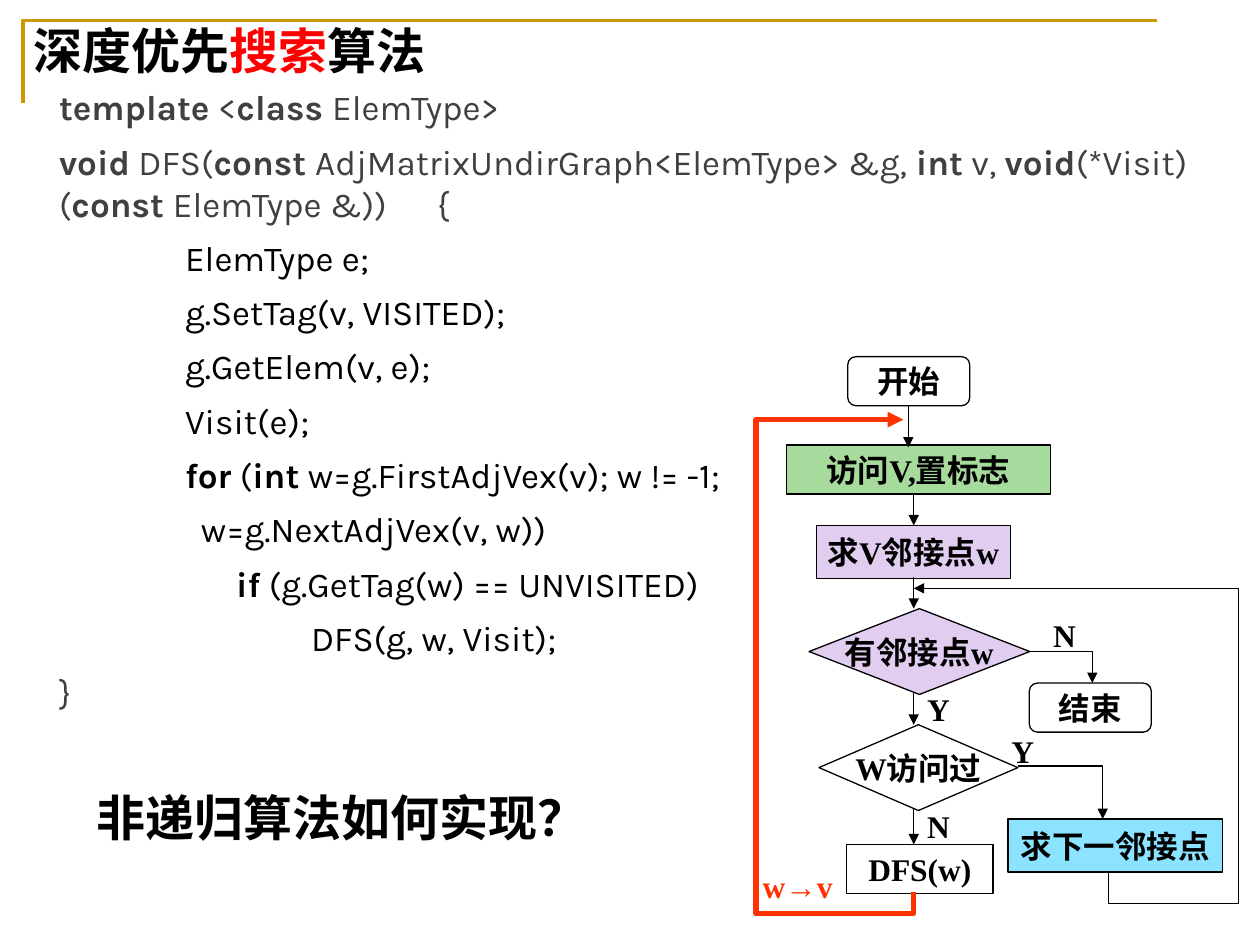
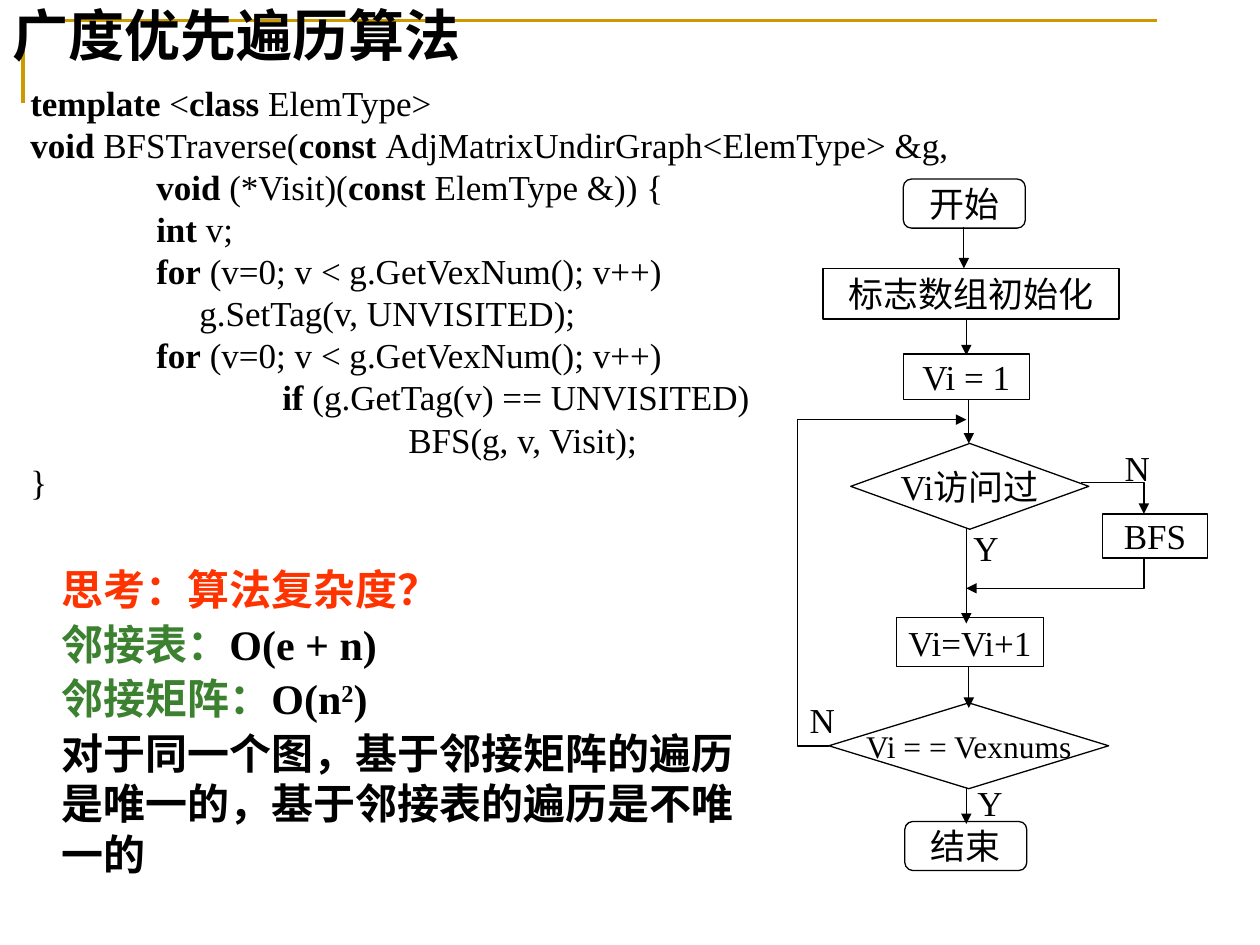
from lxml import etree
from pptx import Presentation
from pptx import util as u
from pptx.dml.color import RGBColor
from pptx.enum import shapes, text
from pptx.oxml.ns import qn

Cm, Pt = u.Cm, u.Pt
HUES = {
    "ink": "000000", "gray": "404040", "gold": "CC9900", "red": "FF0000",
    "flame": "FF3300", "leaf": "3B812F", "mint": "A6DB9D",
    "lilac": "E1CDF0", "sky": "8BE3FF",
}
RGB = {name: RGBColor.from_string(code) for name, code in HUES.items()}
HAN, ROMAN, CODE = "Noto Sans CJK JP", "Times New Roman", "Karla"
LEFT, MID = text.PP_ALIGN.LEFT, text.PP_ALIGN.CENTER
TOP, CORE = text.MSO_ANCHOR.TOP, text.MSO_ANCHOR.MIDDLE
KIND = shapes.MSO_SHAPE
ROUND, BOX, GEM = (KIND.FLOWCHART_ALTERNATE_PROCESS, KIND.FLOWCHART_PROCESS,
                   KIND.FLOWCHART_DECISION)


def put(shape, lines, size=20, font=ROMAN, bold=False, hue="ink", alt=None,
        align=LEFT, anchor=TOP, wrap=True, line=None, before=0, after=0):
    """Write (indent, text) lines; ^ switches to the alt colour, or to bold."""
    frame = shape.text_frame
    frame.auto_size = text.MSO_AUTO_SIZE.NONE
    frame.word_wrap, frame.vertical_anchor = wrap, anchor
    frame.margin_left = frame.margin_right = Cm(0.25)
    frame.margin_top = frame.margin_bottom = 0
    if isinstance(lines, str):
        lines = [(0, lines)]
    for i, (indent, words) in enumerate(lines):
        para = frame.add_paragraph() if i else frame.paragraphs[0]
        para.alignment = align
        para.line_spacing = Pt(line) if line else 1.0
        para.space_before, para.space_after = Pt(before if i else 0), Pt(after)
        props = para._p.get_or_add_pPr()
        props.set("marL", str(Cm(indent)))
        props.set("indent", "0")
        etree.SubElement(props, qn("a:buNone"))
        for j, part in enumerate(words.split("^")):
            if not part:
                continue
            run = para.add_run()
            run.text = part
            odd = j % 2 == 1
            run.font.size, run.font.name = Pt(size), font
            run.font.bold = bold or (odd and not alt)
            run.font.color.rgb = RGB[alt if odd and alt else hue]
            east = etree.SubElement(run.font._element, qn("a:ea"))
            east.set("typeface", HAN)
    return frame


def trace(slide, pts, hue="ink", width=0.75, arrow=True):
    """Draw a straight connector for two points, else an open outline."""
    pts = [(Cm(x), Cm(y)) for x, y in pts]
    if len(pts) == 2:
        path = slide.shapes.add_connector(
            shapes.MSO_CONNECTOR.STRAIGHT, *pts[0], *pts[1])
    else:
        pen = slide.shapes.build_freeform(*pts[0])
        pen.add_line_segments(pts[1:], close=False)
        path = pen.convert_to_shape()
        path.fill.background()
    path.line.color.rgb, path.line.width = RGB[hue], Pt(width)
    props = path.element.spPr
    if arrow:
        etree.SubElement(props.find(qn("a:ln")), qn("a:tailEnd"), type="triangle")
    etree.SubElement(props, qn("a:effectLst"))
    return path


deck = Presentation()
deck.slide_width, deck.slide_height = Cm(25.4), Cm(19.05)

dfs_code = [
    (0, "^template^ <^class ^ElemType>"),
    (0, "^void^ DFS(^const ^AdjMatrixUndirGraph<ElemType> &g, ^int^ v, "
        "^void^(*Visit) (^const ^ElemType &))\t{"),
    (2.54, "ElemType e;"),
    (2.54, "g.SetTag(v, VISITED);"),
    (2.54, "g.GetElem(v, e);"),
    (2.54, "Visit(e);"),
    (2.54, "^for^ (^int^ w=g.FirstAdjVex(v); w != -1;"),
    (2.86, "w=g.NextAdjVex(v, w))"),
    (3.57, "^if^ (g.GetTag(w) == UNVISITED)"),
    (5.08, "DFS(g, w, Visit);"),
    (0, "}"),
]
bfs_code = [
    (0, "^template^ <^class ^ElemType>"),
    (0, "^void ^BFSTraverse(^const ^AdjMatrixUndirGraph<ElemType> &g,"),
    (2.54, "^void^ (*Visit)(^const ^ElemType &)) {"),
    (2.54, "^int^ v;"),
    (2.54, "^for^ (v=0; v < g.GetVexNum(); v++)"),
    (3.41, "g.SetTag(v, UNVISITED);"),
    (2.54, "^for^ (v=0; v < g.GetVexNum(); v++)"),
    (5.08, "^if^ (g.GetTag(v) == UNVISITED)"),
    (7.62, "BFS(g, v, Visit);"),
    (0, "}"),
]

# Nodes: kind, left, top, width, height, words, fill, size
# Tags: left, top, words; paths: points from start to arrowhead
pages = [
    dict(
        title="深度优先^搜索^算法", spot=(0.43, 0.41, 24.33, 1.45), big=28,
        code=dfs_code, area=(0.94, 1.73, 24.97, 13.56),
        look=dict(font=CODE, hue="gray", before=4, after=3),
        size=18, bold=True,
        nodes=[
            (ROUND, 17.09, 7.19, 2.46, 0.99, "开始", None, 18),
            (BOX, 15.85, 8.97, 5.33, 0.99, "访问V,置标志", "mint", 18),
            (BOX, 16.46, 10.59, 3.91, 1.07, "求V邻接点w", "lilac", 18),
            (GEM, 16.31, 12.27, 4.45, 1.73, "有邻接点w", "lilac", 18),
            (BOX, 20.32, 16.51, 4.32, 1.07, "求下一邻接点", "sky", 18),
            (BOX, 17.07, 17.02, 2.95, 0.99, "DFS(w)", None, 18),
            (GEM, 16.51, 14.61, 4.01, 1.73, "W访问过", None, 18),
            (ROUND, 20.75, 13.77, 2.46, 0.99, "结束", None, 18),
        ],
        tags=[(20.96, 12.27, "N"), (18.42, 13.77, "Y"),
              (18.42, 16.13, "N"), (20.12, 14.61, "Y")],
        paths=[
            [(18.31, 8.18), (18.31, 9.02)],
            [(18.42, 9.96), (18.42, 10.59)],
            [(18.42, 11.63), (18.42, 12.27)],
            [(18.42, 13.97), (18.42, 14.61)],
            [(18.42, 16.31), (18.42, 17.02)],
            [(20.75, 13.13), (22.02, 13.13), (22.02, 13.77)],
            [(20.52, 15.44), (22.23, 15.44), (22.23, 16.51)],
            [(22.35, 17.58), (22.35, 18.21), (24.97, 18.21),
             (24.97, 11.86), (18.42, 11.86)],
        ],
    ),
    dict(
        title="广度优先遍历算法", spot=(0, 0, 25.4, 2.34), big=32,
        code=bfs_code, area=(0.36, 1.65, 22.23, 10.08),
        look=dict(font=ROMAN),
        size=20, bold=False,
        nodes=[
            (ROUND, 18.21, 3.61, 2.46, 0.99, "开始", None, 20),
            (BOX, 16.59, 5.41, 5.97, 1.02, "标志数组初始化", None, 20),
            (BOX, 18.21, 7.14, 2.54, 0.91, "Vi = 1", None, 20),
            (GEM, 17.15, 8.94, 4.8, 1.73, "Vi访问过", None, 20),
            (BOX, 22.23, 10.36, 2.11, 0.89, "BFS", None, 20),
            (BOX, 18.08, 12.45, 2.95, 0.99, "Vi=Vi+1", None, 20),
            (GEM, 16.71, 14.17, 5.64, 1.73, "Vi = = Vexnums", None, 18),
            (ROUND, 18.24, 16.56, 2.46, 0.99, "结束", None, 20),
        ],
        tags=[(22.43, 8.89, "N"), (16.08, 13.97, "N"),
              (19.38, 10.52, "Y"), (19.46, 15.65, "Y")],
        paths=[
            [(19.43, 4.57), (19.43, 5.41)],
            [(19.48, 6.43), (19.48, 7.16)],
            [(19.53, 8.05), (19.53, 8.94)],
            [(19.48, 10.64), (19.48, 12.57)],
            [(19.53, 13.44), (19.53, 14.27)],
            [(19.48, 15.88), (19.48, 16.61)],
            [(21.79, 9.73), (23.06, 9.73), (23.06, 10.36)],
            [(23.06, 11.23), (23.06, 11.86), (19.48, 11.86)],
            [(16.71, 15.04), (16.08, 15.04), (16.08, 8.46), (19.48, 8.46)],
        ],
    ),
]

codes = []
for page in pages:
    slide = deck.slides.add_slide(deck.slide_layouts[1])
    head, body = slide.placeholders
    for shape, area in ((head, page["spot"]), (body, page["area"])):
        shape.left, shape.top, shape.width, shape.height = map(Cm, area)
    put(head, page["title"], size=page["big"], font=HAN, bold=True, alt="red")
    codes.append(put(body, page["code"], line=24, **page["look"]))

    style = dict(bold=page["bold"], align=MID, anchor=CORE, wrap=False)
    for kind, x, y, w, h, words, fill, size in page["nodes"]:
        node = slide.shapes.add_shape(kind, Cm(x), Cm(y), Cm(w), Cm(h))
        node.shadow.inherit = False
        if fill:
            node.fill.solid()
            node.fill.fore_color.rgb = RGB[fill]
        else:
            node.fill.background()
        node.line.color.rgb, node.line.width = RGB["ink"], Pt(0.75)
        put(node, words, size=size, **style)
    for pts in page["paths"]:
        trace(slide, pts)
    for x, y, words in page["tags"]:
        tag = slide.shapes.add_textbox(Cm(x), Cm(y), Cm(1), Cm(1.05))
        put(tag, words, size=page["size"], **style)

first, second = deck.slides

# Gold corner shared through the master
band = trace(first, [(0.46, 2.08), (0.46, 0.41), (23.32, 0.41)],
             hue="gold", width=2, arrow=False)
deck.slide_master.shapes.element.append(band.element)

# Depth-first slide: body lines in black, brace gap, recursion loop, question
for para in codes[0].paragraphs[2:-1]:
    for run in para.runs:
        run.font.color.rgb = RGB["ink"]
stops = etree.SubElement(codes[0].paragraphs[1]._p.pPr, qn("a:tabLst"))
etree.SubElement(stops, qn("a:tab"), pos=str(Cm(7.11)), algn="l")
trace(first, [(18.42, 17.98), (18.42, 18.42), (15.24, 18.42),
              (15.24, 8.46), (18.21, 8.46)], hue="flame", width=3)
loop = first.shapes.add_textbox(Cm(14.81), Cm(17.35), Cm(2.54), Cm(1.02))
put(loop, "w→v", size=18, bold=True, hue="flame", align=MID, anchor=CORE)
ask = first.shapes.add_textbox(Cm(1.7), Cm(15.88), Cm(22.4), Cm(1.73))
put(ask, "非递归算法如何实现？", size=28, font=HAN, bold=True)

# Breadth-first slide: cost notes
cost = second.shapes.add_textbox(Cm(0.99), Cm(11.36), Cm(14.25), Cm(6.6))
notes = put(cost, [
    (0, "思考：算法复杂度？"),
    (0, "邻接表：^O(e + n)"),
    (0, "邻接矩阵：^O(n^2^)"),
    (0, "^对于同一个图，基于邻接矩阵的遍历是唯一的，基于邻接表的遍历是不唯一的"),
], size=24, bold=True, hue="leaf", alt="ink", line=28.8, before=2.4).paragraphs
notes[0].runs[0].font.color.rgb = RGB["flame"]
power = notes[2].runs[2].font
power.color.rgb = RGB["ink"]
power._element.set("baseline", "30000")

deck.save("out.pptx")
